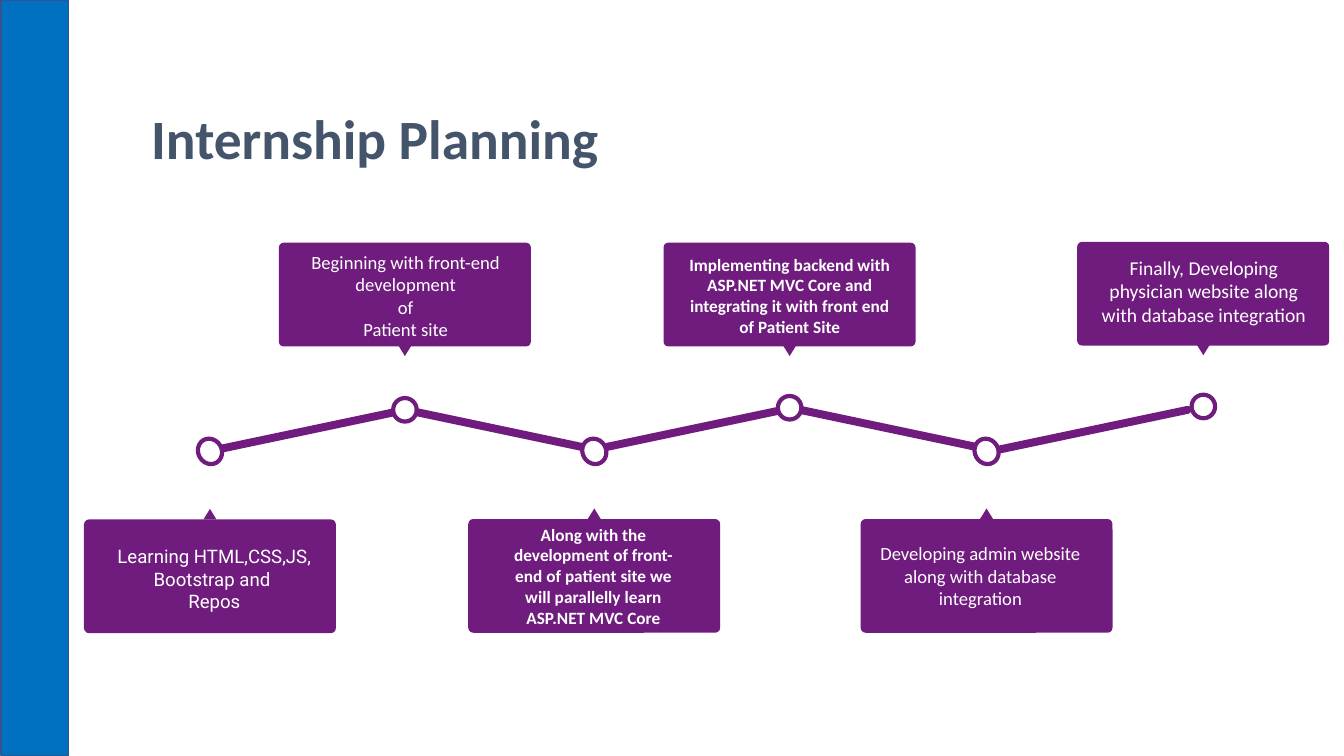
from pptx import Presentation
from pptx import util as u
from pptx.dml.color import RGBColor
from pptx.enum import shapes, text

BLUE = RGBColor(0x00, 0x70, 0xC0)
EDGE = RGBColor(0x32, 0x54, 0x91)
SLATE = RGBColor(0x44, 0x54, 0x6A)
PURPLE = RGBColor(0x70, 0x1C, 0x7F)
WHITE = RGBColor(0xFF, 0xFF, 0xFF)
KIND = shapes.MSO_SHAPE


class Timeline:
    """Style and slide; lengths are cells of a 32 by 18 grid."""
    COLUMNS = 32
    CARD_WIDTH = 6
    POINTER_WIDTH = 0.31

    def __init__(self, deck):
        self.cell = deck.slide_width / self.COLUMNS
        self.slide = deck.slides.add_slide(deck.slide_layouts[6])

    def grid(self, *cells):
        return [u.Emu(round(c * self.cell)) for c in cells]

    def shape(self, kind, left, top, width, height, fill,
              line=None, line_width=1, rotation=0, rounding=None):
        item = self.slide.shapes.add_shape(
            kind, *self.grid(left, top, width, height))
        item.shadow.inherit = False
        item.fill.solid()
        item.fill.fore_color.rgb = fill
        if line is None:
            item.line.fill.background()
        else:
            item.line.color.rgb = line
            item.line.width = u.Pt(line_width)
        item.rotation = rotation
        if rounding is not None:
            item.adjustments[0] = rounding

    def words(self, left, top, width, height, lines, size, color=WHITE,
              font="Calibri", bold=False, align=text.PP_ALIGN.CENTER, spacing=1.0):
        frame = self.slide.shapes.add_textbox(
            *self.grid(left, top, width, height)).text_frame
        frame.word_wrap = True
        frame.margin_left = frame.margin_right = u.Inches(0.13)
        frame.margin_top = frame.margin_bottom = u.Inches(0.13)
        frame.text = "\n".join(lines)
        for paragraph in frame.paragraphs:
            paragraph.alignment = align
            paragraph.line_spacing = spacing
            paragraph.font.name = font
            paragraph.font.size = u.Pt(size)
            paragraph.font.bold = bold
            paragraph.font.color.rgb = color

    def bar(self, center, middle, rotation):
        width, height = 4.73, 0.19
        self.shape(KIND.ROUNDED_RECTANGLE, center - width / 2, middle - height / 2,
                   width, height, PURPLE, rotation=rotation, rounding=0.5)

    def pip(self, center, middle, height, rotation):
        width = 0.56
        self.shape(KIND.OVAL, center - width / 2, middle - height / 2, width, height,
                   WHITE, PURPLE, 3, rotation)

    def card(self, center, top, height, points_down):
        self.shape(KIND.ROUNDED_RECTANGLE, center - self.CARD_WIDTH / 2, top,
                   self.CARD_WIDTH, height, PURPLE, rounding=0.045)
        pointer_top = top + height - 0.02 if points_down else top - 0.25
        self.shape(KIND.ISOSCELES_TRIANGLE, center - self.POINTER_WIDTH / 2,
                   pointer_top, self.POINTER_WIDTH, 0.25, PURPLE,
                   rotation=180 if points_down else 0)

    def milestone(self, center, middle, card_top, upper, label, lines, size, **style):
        self.card(center, card_top, 2.47 if upper else 2.71, upper)
        self.pip(center, middle, 0.56 if upper else 0.62, 29.8 if upper else 330.2)
        self.words(*label, 2, lines, size, **style)


# Milestones: centre, pip middle, card top, above the line, text place, lines, size, style
MILESTONES = [
    (5, 10.75, 12.37, False, (2.26, 12.67, 5.69),
     ["Learning HTML,CSS,JS,", "Bootstrap and ", "Repos"], 13.3, {"font": "Roboto"}),
    (9.64, 9.76, 5.78, True, (7.08, 5.66, 5.16),
     ["Beginning with front-end development", "of", "Patient site"], 13.3, {}),
    (14.15, 10.75, 12.36, False, (11.66, 12.17, 4.94),
     ["Along with the", "development of front-end of patient site we will "
      "parallelly learn ASP.NET MVC Core"], 12.3, {"bold": True}),
    (18.8, 9.71, 5.78, True, (15.96, 5.74, 5.69),
     ["Implementing backend with ASP.NET MVC Core and integrating it with "
      "front end of Patient Site"], 12.3, {"bold": True}),
    (23.49, 10.75, 12.36, False, (20.5, 12.6, 5.69),
     ["Developing admin website along with database integration"], 13.3, {}),
    (28.65, 9.68, 5.76, True, (25.82, 5.78, 5.69),
     ["Finally, Developing physician website along with database integration"],
     14, {}),
]
BAR_CENTERS = [7.43, 11.89, 16.41, 21.28, 26.05]


def main():
    deck = Presentation()
    deck.slide_width, deck.slide_height = u.Inches(13.33), u.Inches(7.5)
    plan = Timeline(deck)

    # Side band and title
    plan.shape(KIND.RECTANGLE, 0.02, 0, 1.61, 18, BLUE, EDGE)
    plan.words(3.29, 2.35, 26.9, 1.87, ["Internship Planning"], 39.6, SLATE,
               bold=True, align=text.PP_ALIGN.LEFT, spacing=0.9)

    # Zigzag line, rising and falling in turn
    for index, center in enumerate(BAR_CENTERS):
        plan.bar(center, 10.23, 11.9 if index % 2 else 348.1)

    # Milestones along the line
    for *place, style in MILESTONES:
        plan.milestone(*place, **style)

    deck.save("out.pptx")


if __name__ == "__main__":
    main()
